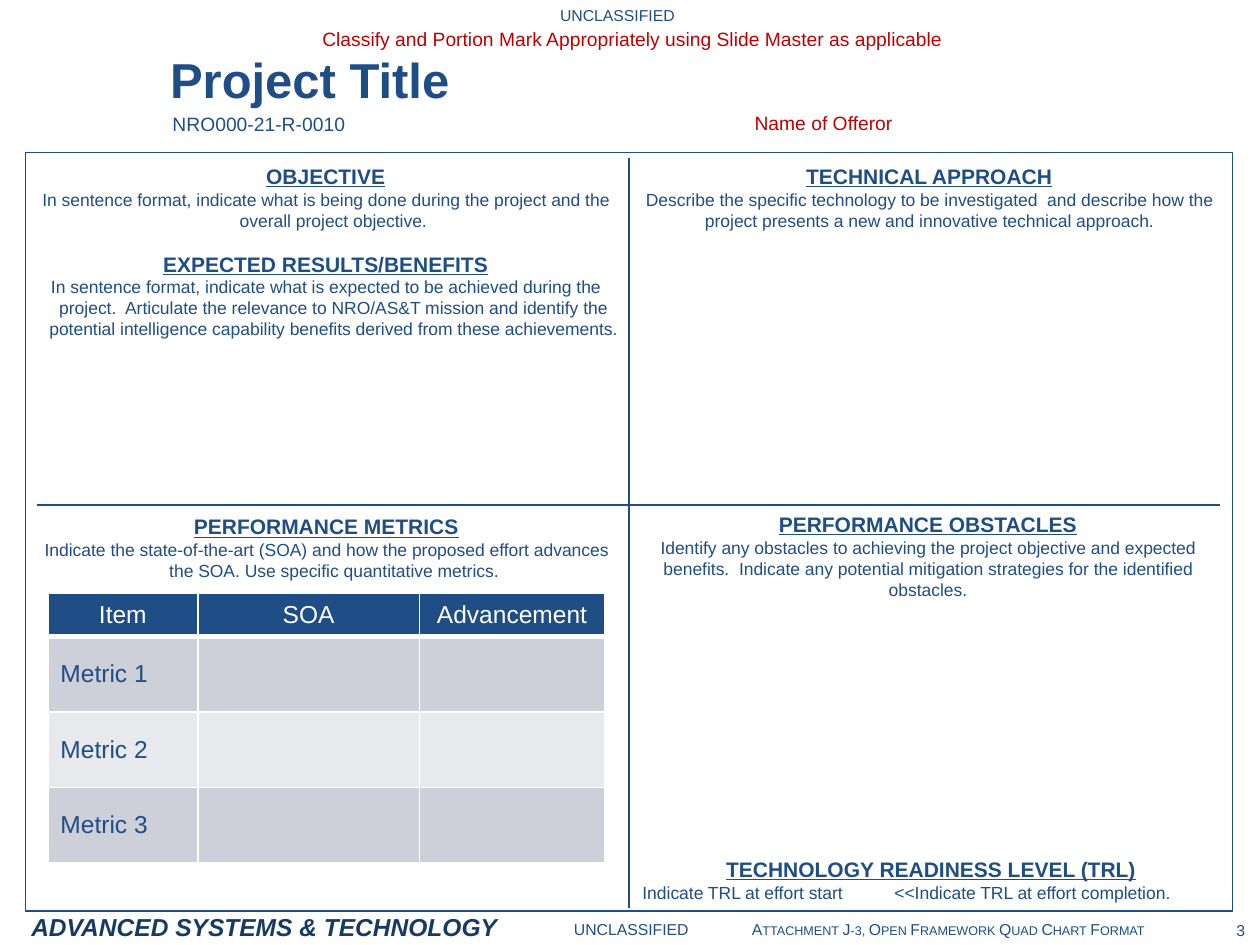
from lxml import etree
from pptx import Presentation
from pptx.dml.color import RGBColor
from pptx.enum.shapes import MSO_CONNECTOR, MSO_SHAPE
from pptx.enum.text import MSO_ANCHOR, MSO_AUTO_SIZE, PP_ALIGN
from pptx.oxml import parse_xml
from pptx.oxml.ns import nsdecls, qn
from pptx.util import Inches, Pt

LEFT, CENTER, RIGHT = PP_ALIGN.LEFT, PP_ALIGN.CENTER, PP_ALIGN.RIGHT
TOP, MIDDLE = MSO_ANCHOR.TOP, MSO_ANCHOR.MIDDLE

BLUE = RGBColor(0x1F, 0x4D, 0x85)
NAVY = RGBColor(0x17, 0x3A, 0x64)
RED = RGBColor(0xC0, 0x00, 0x00)
WHITE = RGBColor(0xFF, 0xFF, 0xFF)
BANDS = [RGBColor(0xCD, 0xD0, 0xD9), RGBColor(0xE8, 0xE9, 0xED)]
FONT = "Arial"

LABELS = [
    ("ADVANCED SYSTEMS & TECHNOLOGY", (0.15, 7.19, 4.84, 0.34),
     dict(size=14, color=NAVY, bold=True, italic=True)),
    ("UNCLASSIFIED", (0, 0, 9.8, 0.25), dict(size=9, align=CENTER)),
    ("UNCLASSIFIED", (0.01, 7.25, 10, 0.25), dict(size=9, align=CENTER)),
    ("3", (9.62, 7.26, 0.36, 0.25), dict(size=9, align=RIGHT)),
    ("NRO000-21-R-0010", (1.27, 0.84, 1.58, 0.29),
     dict(size=11, anchor=MIDDLE, wrap=False)),
    ("Attachment J-3, Open Framework Quad Chart Format", (5.87, 7.25, 3.44, 0.25),
     dict(size=9, anchor=MIDDLE, wrap=False, small_caps=True)),
    ("Classify and Portion Mark Appropriately using Slide Master as applicable",
     (2.46, 0.17, 5.17, 0.29), dict(size=11, color=RED, wrap=False)),
    ("Name of Offeror", (5.89, 0.83, 1.3, 0.29),
     dict(size=11, color=RED, anchor=MIDDLE, wrap=False)),
]

QUADRANTS = [
    ((0.17, 1.25, 4.83, 2.78), dict(hanging=0.12), [
        ("OBJECTIVE",
         "In sentence format, indicate what is being done during the project and the "
         "overall project objective."),
        ("EXPECTED RESULTS/BENEFITS",
         "In sentence format, indicate what is expected to be achieved during the project.  "
         "Articulate the relevance to NRO/AS&T mission and identify the potential intelligence "
         "capability benefits derived from these achievements."),
    ]),
    ((5, 1.25, 4.75, 2.78), {}, [
        ("TECHNICAL APPROACH",
         "Describe the specific technology to be investigated  and describe how the project "
         "presents a new and innovative technical approach."),
    ]),
    ((0.2, 4.03, 4.78, 3.2), dict(hanging=0.12), [
        ("PERFORMANCE METRICS",
         "Indicate the state-of-the-art (SOA) and how the proposed effort advances the SOA. "
         "Use specific quantitative metrics."),
    ]),
    ((5, 4.01, 4.73, 0.81), {}, [
        ("PERFORMANCE OBSTACLES",
         "Identify any obstacles to achieving the project objective and expected benefits.  "
         "Indicate any potential mitigation strategies for the identified obstacles."),
    ]),
    ((5, 6.75, 4.78, 0.47), dict(align=LEFT, tab=2), [
        ("TECHNOLOGY READINESS LEVEL (TRL)",
         "Indicate TRL at effort start\t<<Indicate TRL at effort completion."),
    ]),
]

METRICS = [
    ("Item", "SOA", "Advancement"),
    ("Metric 1", "", ""),
    ("Metric 2", "", ""),
    ("Metric 3", "", ""),
]
METRICS_AT = (0.38, 4.71, 4.42, 2.13)
COLUMN_WIDTHS = [1.19, 1.76, 1.47]
ROW_HEIGHTS = [0.34, 0.6, 0.6, 0.6]

FRAME_AT = (0.2, 1.21, 9.58, 6.02)
DIVIDERS = [(4.99, 1.25, 4.99, 7.21), (0.29, 4.01, 9.68, 4.01)]


def inches(values):
    return [Inches(value) for value in values]


def write(paragraph, text, size=10, color=BLUE, bold=False, italic=False, underline=False,
          align=LEFT, before=0, hanging=0, tab=0, small_caps=False):
    paragraph.alignment = align
    paragraph.space_before = Pt(before)
    properties = paragraph._p.get_or_add_pPr()
    if hanging:
        properties.set("marL", str(Inches(hanging)))
        properties.set("indent", str(-Inches(hanging)))
    if tab:
        stops = etree.SubElement(properties, qn("a:tabLst"))
        etree.SubElement(stops, qn("a:tab"), pos=str(Inches(tab)), algn="l")
    run = paragraph.add_run()
    run.text = text
    font = run.font
    font.name, font.size, font.color.rgb = FONT, Pt(size), color
    font.bold, font.italic, font.underline = bold, italic, underline
    if small_caps:
        run._r.get_or_add_rPr().set("cap", "small")


def add_frame(slide, at, anchor=TOP, wrap=True):
    frame = slide.shapes.add_textbox(*inches(at)).text_frame
    frame.word_wrap = wrap
    frame.vertical_anchor = anchor
    return frame


def add_title(slide):
    title = slide.shapes.title
    title.left, title.top, title.width, title.height = inches((1.25, 0.37, 7.58, 0.52))
    title.text_frame.auto_size = MSO_AUTO_SIZE.NONE
    title.text_frame.vertical_anchor = MIDDLE
    write(title.text_frame.paragraphs[0], "Project Title", size=28, bold=True)


def add_quadrant(slide, at, layout, sections):
    frame = add_frame(slide, at)
    hanging = layout.get("hanging", 0)
    for index, (heading, body) in enumerate(sections):
        first = frame.add_paragraph() if index else frame.paragraphs[0]
        write(first, heading, size=12, bold=True, underline=True, align=CENTER,
              before=11.5 if index else 0, hanging=hanging)
        write(frame.add_paragraph(), body, **{"align": CENTER, **layout})


def add_borders(cell, **widths):
    properties = cell._tc.get_or_add_tcPr()
    for side in "LRTB":
        properties.append(parse_xml(
            f'<a:ln{side} {nsdecls("a")} w="{Pt(widths.get(side, 1))}"><a:solidFill>'
            f'<a:srgbClr val="{WHITE}"/></a:solidFill></a:ln{side}>'))


def add_metrics(slide):
    table = slide.shapes.add_table(len(METRICS), len(METRICS[0]), *inches(METRICS_AT)).table
    for column, width in zip(table.columns, COLUMN_WIDTHS):
        column.width = Inches(width)
    for row, height in zip(table.rows, ROW_HEIGHTS):
        row.height = Inches(height)
    for r, values in enumerate(METRICS):
        header = r == 0
        for c, value in enumerate(values):
            cell = table.cell(r, c)
            add_borders(cell, T=3 if r == 1 else 1, B=3 if header else 1)
            cell.fill.solid()
            cell.fill.fore_color.rgb = BLUE if header else BANDS[(r - 1) % 2]
            cell.vertical_anchor = MIDDLE
            if value:
                write(cell.text_frame.paragraphs[0], value, size=14,
                      color=WHITE if header else BLUE, align=CENTER if header else LEFT)


def add_grid(slide):
    border = slide.shapes.add_shape(MSO_SHAPE.RECTANGLE, *inches(FRAME_AT))
    border.shadow.inherit = False
    border.fill.background()
    border.line.color.rgb, border.line.width = BLUE, Pt(0.75)
    for ends in DIVIDERS:
        divider = slide.shapes.add_connector(MSO_CONNECTOR.STRAIGHT, *inches(ends))
        divider.line.color.rgb, divider.line.width = BLUE, Pt(1)
        etree.SubElement(divider._element.spPr, qn("a:effectLst"))


def main():
    deck = Presentation()
    deck.slide_width, deck.slide_height = inches((10, 7.5))
    slide = deck.slides.add_slide(deck.slide_layouts[5])
    add_title(slide)
    add_grid(slide)
    for text, at, style in LABELS:
        style = dict(style)
        frame = add_frame(slide, at, style.pop("anchor", TOP), style.pop("wrap", True))
        write(frame.paragraphs[0], text, **style)
    for at, layout, sections in QUADRANTS:
        add_quadrant(slide, at, layout, sections)
    add_metrics(slide)
    deck.save("out.pptx")


if __name__ == "__main__":
    main()
